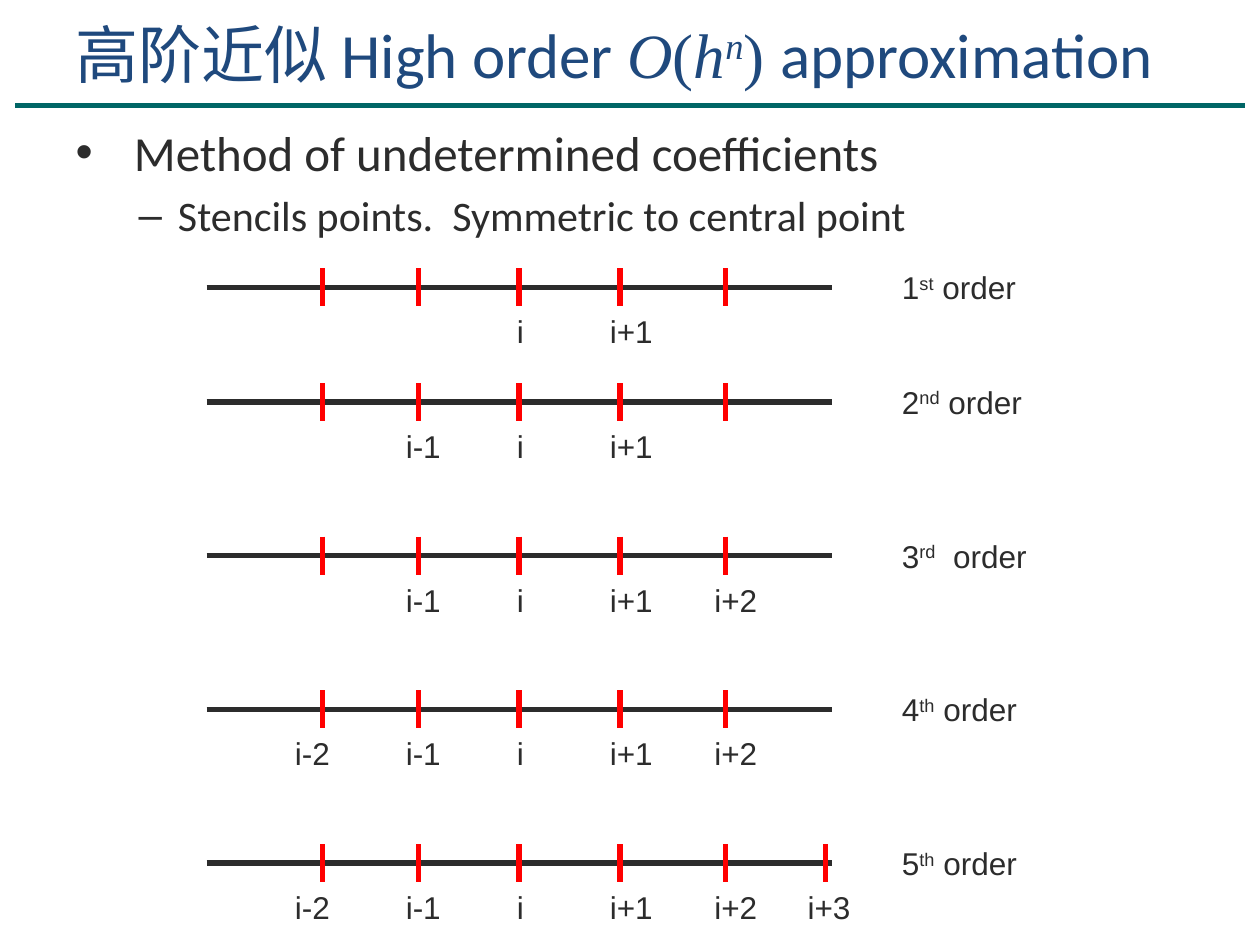
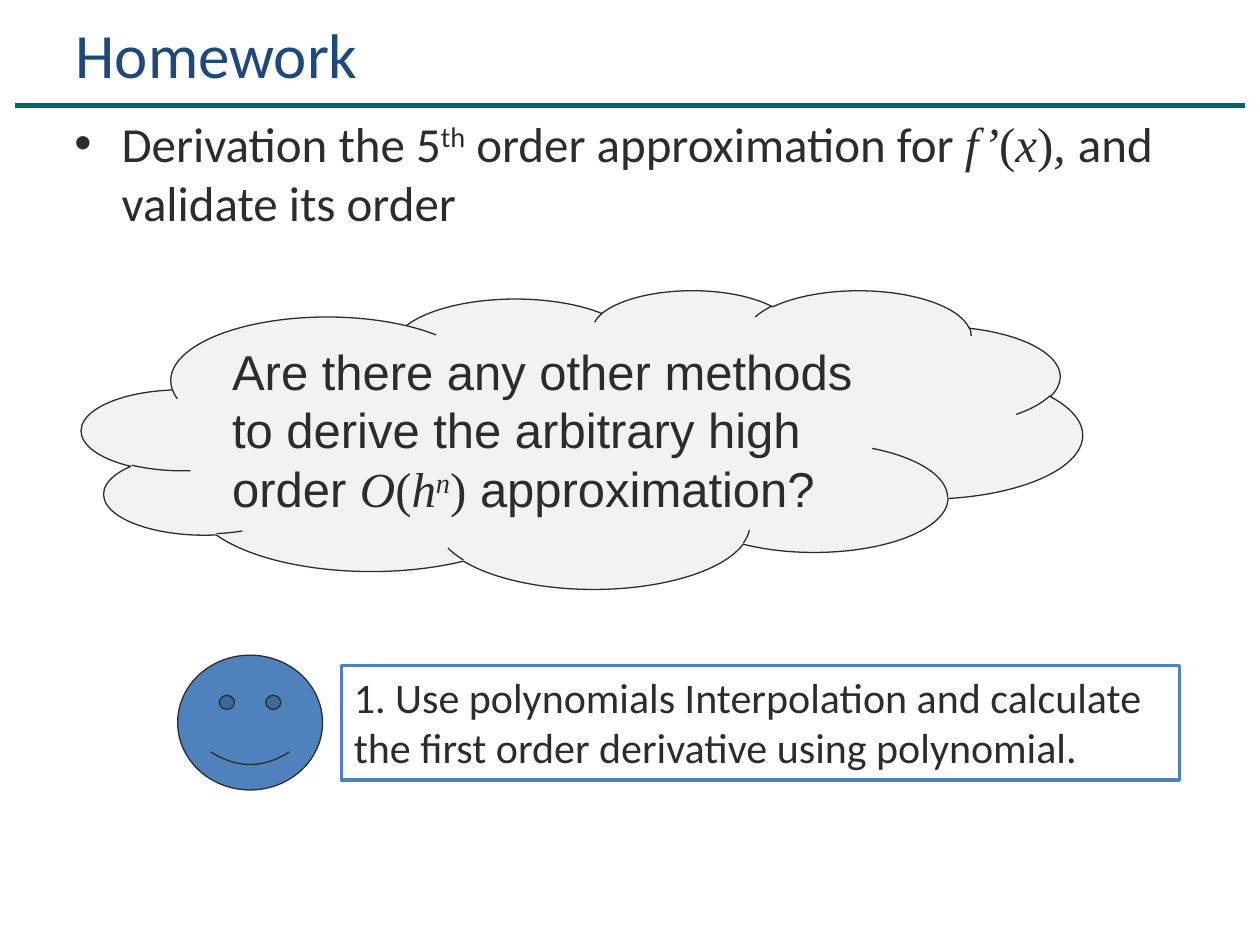
"""Build two slides on high order finite difference stencils and the homework."""
from lxml.etree import SubElement
from pptx import Presentation
from pptx.dml.color import RGBColor
from pptx.enum.shapes import MSO_CONNECTOR, MSO_SHAPE
from pptx.enum.text import MSO_ANCHOR as Anchor, MSO_AUTO_SIZE as AutoSize, PP_ALIGN as Align
from pptx.oxml.ns import qn
from pptx.util import Inches, Pt

NAVY = RGBColor(0x1F, 0x49, 0x7D)
TEAL = RGBColor(0x00, 0x66, 0x66)
INK = RGBColor(0x2C, 0x2C, 0x2C)
RED = RGBColor(0xFF, 0x00, 0x00)
BLUE = RGBColor(0x4F, 0x81, 0xBD)
PALE = RGBColor(0xF2, 0xF2, 0xF2)
WHITE = RGBColor(0xFF, 0xFF, 0xFF)

TITLE = {"name": "Calibri", "size": Pt(36), "color": NAVY}
BULLET = {"name": "Calibri", "size": Pt(28), "color": INK}
SUBBULLET = {**BULLET, "size": Pt(24)}
LABEL = {"name": "Arial", "size": Pt(18), "color": INK}
QUESTION = {**LABEL, "size": Pt(28)}
KINDS = {
    "plain": {},
    "roman": {"name": "Times New Roman"},
    "italic": {"name": "Times New Roman", "italic": True},
    "power": {"name": "Times New Roman", "italic": True, "baseline": 30},
    "ordinal": {"baseline": 30},
}

ORDER_OF_H = [("O", "italic"), ("(", "roman"), ("h", "italic"), ("n", "power")]
STENCIL_TITLE = [("高阶近似 High order ", "plain"), *ORDER_OF_H,
                 (") ", "roman"), ("approximation", "plain")]
STENCIL_BULLETS = [
    (0, BULLET, [(" Method of undetermined coefficients", "plain")]),
    (1, SUBBULLET, [("Stencils points.  Symmetric to central point", "plain")]),
]
HOMEWORK_TITLE = [("Homework", "plain")]
HOMEWORK_BULLETS = [(0, BULLET, [
    ("Derivation the 5", "plain"), ("th", "ordinal"), (" order approximation for ", "plain"),
    ("f’", "italic"), ("(", "roman"), ("x", "italic"), (")", "roman"), (", ", "italic"),
    ("and validate its order", "plain"),
])]
CLOUD_TEXT = [("Are there any other methods to derive the arbitrary high order ", "plain"),
              *ORDER_OF_H, (")", "roman"), (" approximation?", "plain")]
HINT_TEXT = [("1. Use polynomials Interpolation and calculate the first order "
              "derivative using polynomial.", "plain")]

POINTS = ["i-2", "i-1", "i", "i+1", "i+2", "i+3"]
TICK_X = [2.56, 3.32, 4.12, 4.92, 5.76, 6.55]
POINT_X = [2.48, 3.36, 4.13, 5.01, 5.84, 6.58]
STENCILS = [
    ("1", "st", " order", 2, 4),
    ("2", "nd", " order", 1, 4),
    ("3", "rd", "  order", 1, 5),
    ("4", "th", " order", 0, 5),
    ("5", "th", " order", 0, 6),
]
FIRST_AXIS, SECOND_AXIS, AXIS_STEP = 2.28, 3.19, 1.22
AXIS_LEFT, AXIS_RIGHT, TICK_HALF = 1.64, 6.6, 0.15
ORDER_LEFT, ORDER_RISE, LABEL_HEIGHT = 7.06, 0.2, 0.4


def place(shape, left, top, width, height):
    values = {"left": left, "top": top, "width": width, "height": height}
    for name, value in values.items():
        setattr(shape, name, Inches(value))


def write(paragraph, runs, base):
    for text, kind in runs:
        run = paragraph.add_run()
        run.text = text
        for name, value in {**base, **KINDS[kind]}.items():
            if name == "color":
                run.font.color.rgb = value
            elif name == "baseline":
                run._r.get_or_add_rPr().set("baseline", str(value * 1000))
            else:
                setattr(run.font, name, value)


def add_line(slide, start, end, color):
    line = slide.shapes.add_connector(MSO_CONNECTOR.STRAIGHT, *map(Inches, start + end))
    line.line.color.rgb = color
    line.line.width = Pt(3)
    SubElement(line.element.spPr, qn("a:effectLst"))
    return line


def add_label(slide, box, runs, align=Align.LEFT):
    frame = slide.shapes.add_textbox(*map(Inches, box)).text_frame
    frame.word_wrap = True
    frame.paragraphs[0].alignment = align
    write(frame.paragraphs[0], runs, LABEL)


def add_figure(slide, preset, box, fill, outline, weight):
    shape = slide.shapes.add_shape(preset, *map(Inches, box))
    shape.shadow.inherit = False
    shape.fill.solid()
    shape.fill.fore_color.rgb = fill
    shape.line.color.rgb = outline
    shape.line.width = Pt(weight)
    return shape


def add_text_figure(slide, preset, box, fill, outline, weight, runs, base):
    frame = add_figure(slide, preset, box, fill, outline, weight).text_frame
    frame.word_wrap = True
    frame.vertical_anchor = Anchor.TOP
    frame.paragraphs[0].alignment = Align.LEFT
    write(frame.paragraphs[0], runs, base)


def prepare_layout(presentation):
    layout = presentation.slide_layouts[1]
    title, body = list(layout.placeholders)[:2]
    place(title, 0.5, 0.08, 9, 0.69)
    place(body, 0.5, 0.92, 9, 6.42)
    return layout


def add_slide(presentation, layout, title_runs, bullets):
    slide = presentation.slides.add_slide(layout)
    title, body = slide.placeholders
    for frame in (title.text_frame, body.text_frame):
        frame.auto_size = AutoSize.NONE
    title.text_frame.vertical_anchor = Anchor.MIDDLE
    heading = title.text_frame.paragraphs[0]
    heading.alignment = Align.LEFT
    write(heading, title_runs, TITLE)
    for index, (level, base, runs) in enumerate(bullets):
        frame = body.text_frame
        paragraph = frame.add_paragraph() if index else frame.paragraphs[0]
        paragraph.level = level
        write(paragraph, runs, base)
    return slide


def add_title_rule(presentation, slide):
    rule = add_line(slide, (0.12, 0.84), (9.88, 0.84), TEAL).element
    rule.nvCxnSpPr.cNvPr.set("id", "20")
    presentation.slide_master.shapes.element.append(rule)


def add_stencil(slide, row, number, suffix, word, first, last):
    axis = SECOND_AXIS + (row - 1) * AXIS_STEP if row else FIRST_AXIS
    add_line(slide, (AXIS_LEFT, axis), (AXIS_RIGHT, axis), INK)
    for x in TICK_X[:max(last, 5)]:
        add_line(slide, (x, axis - TICK_HALF), (x, axis + TICK_HALF), RED)
    for point, x in list(zip(POINTS, POINT_X))[first:last]:
        box = (x - 0.4, axis + TICK_HALF, 0.8, LABEL_HEIGHT)
        add_label(slide, box, [(point, "plain")], Align.CENTER)
    runs = [(number, "plain"), (suffix, "ordinal"), (word, "plain")]
    add_label(slide, (ORDER_LEFT, axis - ORDER_RISE, 1.6, LABEL_HEIGHT), runs)


def main():
    presentation = Presentation()
    presentation.slide_width, presentation.slide_height = Inches(10), Inches(7.5)
    layout = prepare_layout(presentation)

    stencils = add_slide(presentation, layout, STENCIL_TITLE, STENCIL_BULLETS)
    add_title_rule(presentation, stencils)
    for row, stencil in enumerate(STENCILS):
        add_stencil(stencils, row, *stencil)

    homework = add_slide(presentation, layout, HOMEWORK_TITLE, HOMEWORK_BULLETS)
    place(homework.placeholders[1], 0.49, 0.85, 9, 6.42)
    add_text_figure(homework, MSO_SHAPE.CLOUD, (0.65, 2.3, 7.94, 2.37),
                    PALE, INK, 0.75, CLOUD_TEXT, QUESTION)
    add_figure(homework, MSO_SHAPE.SMILEY_FACE, (1.41, 5.2, 1.15, 1.07), BLUE, INK, 0.75)
    add_text_figure(homework, MSO_SHAPE.RECTANGLE, (2.71, 5.28, 6.65, 0.91),
                    WHITE, BLUE, 2, HINT_TEXT, SUBBULLET)
    presentation.save("out.pptx")


if __name__ == "__main__":
    main()
